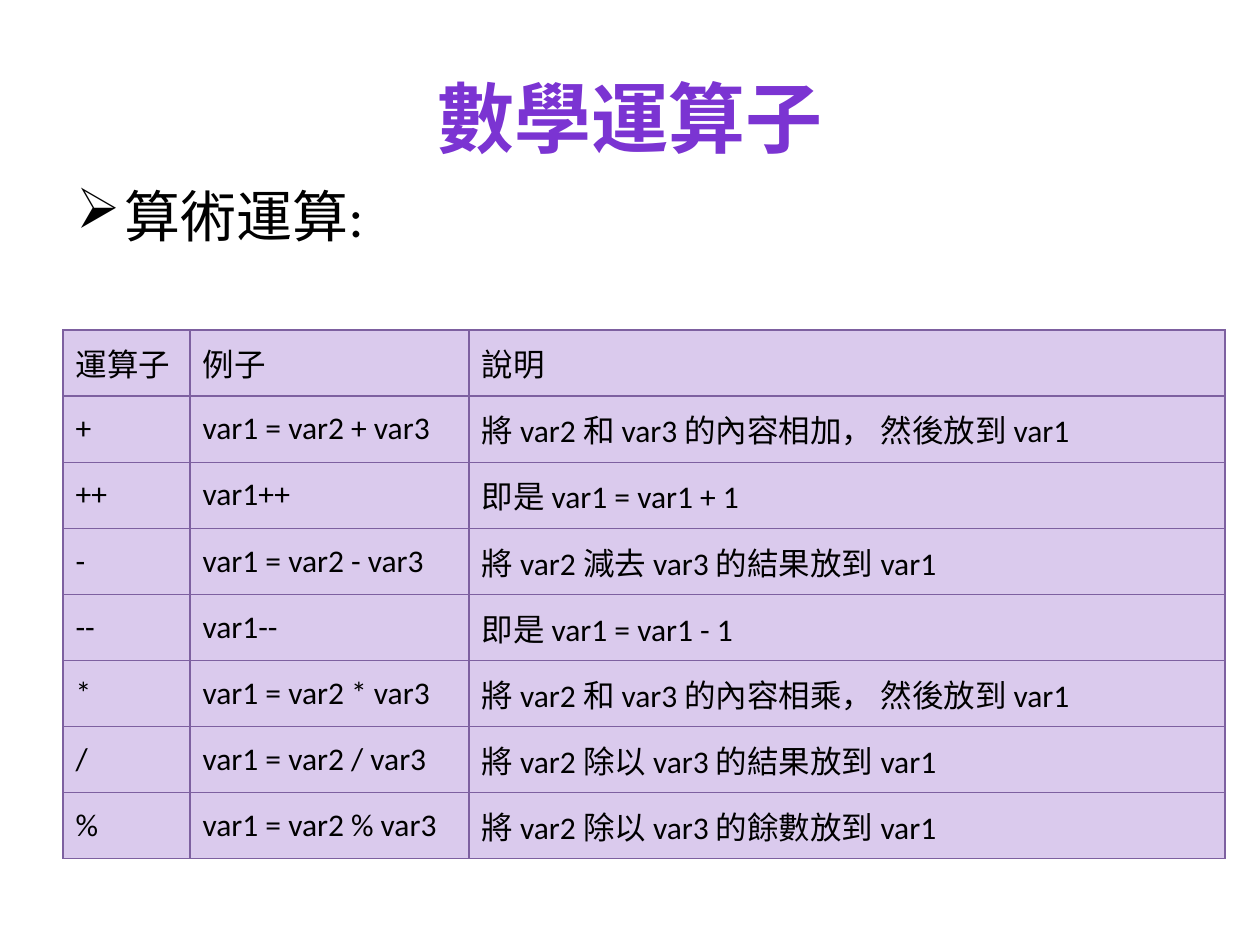
from lxml import etree
from pptx import Presentation
from pptx.dml.color import RGBColor
from pptx.enum.text import MSO_ANCHOR, PP_ALIGN
from pptx.oxml.ns import qn
from pptx.util import Pt

MIDDLE = MSO_ANCHOR.MIDDLE
TOP = MSO_ANCHOR.TOP
CENTER = PP_ALIGN.CENTER
LEFT = PP_ALIGN.LEFT
TITLE_ONLY = 5
SCALE = 914400 / 126
FONT = "Calibri"
COLORS = {"title": "7B34D2", "text": "000000", "cell": "DACAED", "line": "7D60A0"}
# "~" stands for a no-break space
ROWS = [
    ("運算子", "例子", "說明"),
    ("+", "var1~=~var2~+~var3", "將~var2~和~var3~的內容相加， 然後放到~var1"),
    ("++", "var1++", "即是~var1~=~var1~+ 1"),
    ("-", "var1~=~var2~-~var3", "將~var2~減去~var3~的結果放到~var1"),
    ("--", "var1--", "即是~var1~=~var1~- 1"),
    ("*", "var1~=~var2~*~var3", "將~var2~和~var3~的內容相乘， 然後放到~var1"),
    ("/", "var1~=~var2~/~var3", "將~var2~除以~var3~的結果放到~var1"),
    ("%", "var1~=~var2~%~var3", "將~var2~除以~var3~的餘數放到~var1"),
]


def px(size):
    """Turn pixels into EMU."""
    return round(size * SCALE)


def write(frame, text, size, color, align=LEFT, anchor=TOP, bold=False):
    """Set and format one paragraph, and return it."""
    frame.text = text.replace("~", "\u00a0")
    frame.word_wrap = True
    frame.vertical_anchor = anchor
    para = frame.paragraphs[0]
    para.alignment = align
    font = para.runs[0].font
    font.name, font.size, font.bold = FONT, Pt(size), bold
    font.color.rgb = RGBColor.from_string(COLORS[color])
    return para


def add_title(slide, box):
    """Place the slide title in the box."""
    title = slide.shapes.title
    title.left, title.top, title.width, title.height = map(px, box)
    write(title.text_frame, "數學運算子", 44, "title", CENTER, MIDDLE, True)


def add_point(slide, box):
    """Place the bulleted heading in the box."""
    shape = slide.shapes.add_textbox(*map(px, box))
    para = write(shape.text_frame, "算術運算:", 32, "text")
    para.space_before = Pt(6.4)
    props = para._p.get_or_add_pPr()
    props.set("marL", str(px(48)))
    props.set("indent", str(px(-48)))
    etree.SubElement(props, qn("a:buFont"), typeface="Wingdings")
    etree.SubElement(props, qn("a:buChar"), char="\u00d8")


def add_edges(cell):
    """Draw a thin line on all four sides of a cell."""
    props = cell._tc.get_or_add_tcPr()
    for spot, side in enumerate("LRTB"):
        line = etree.Element(qn(f"a:ln{side}"), w=str(Pt(0.75)))
        fill = etree.SubElement(line, qn("a:solidFill"))
        etree.SubElement(fill, qn("a:srgbClr"), val=COLORS["line"])
        props.insert(spot, line)


def add_grid(slide, box, widths):
    """Place the table of operators in the box."""
    frame = slide.shapes.add_table(len(ROWS), len(widths), *map(px, box))
    table = frame.table
    table.first_row = table.horz_banding = False
    for col, width in zip(table.columns, widths):
        col.width = px(width)
    for row, texts in zip(table.rows, ROWS):
        row.height = px(box[3] / len(ROWS))
        for cell, text in zip(row.cells, texts):
            write(cell.text_frame, text, 18, "text")
            cell.vertical_anchor = MIDDLE
            cell.fill.solid()
            cell.fill.fore_color.rgb = RGBColor.from_string(COLORS["cell"])
            add_edges(cell)


def build():
    """Build and save the slide."""
    deck = Presentation()
    deck.slide_width, deck.slide_height = px(1260), px(945)
    slide = deck.slides.add_slide(deck.slide_layouts[TITLE_ONLY])
    add_title(slide, (63, 38, 1134, 157))
    add_point(slide, (64, 175, 1134, 694))
    add_grid(slide, (63, 330, 1162, 529), (127, 279, 756))
    deck.save("out.pptx")


build()
